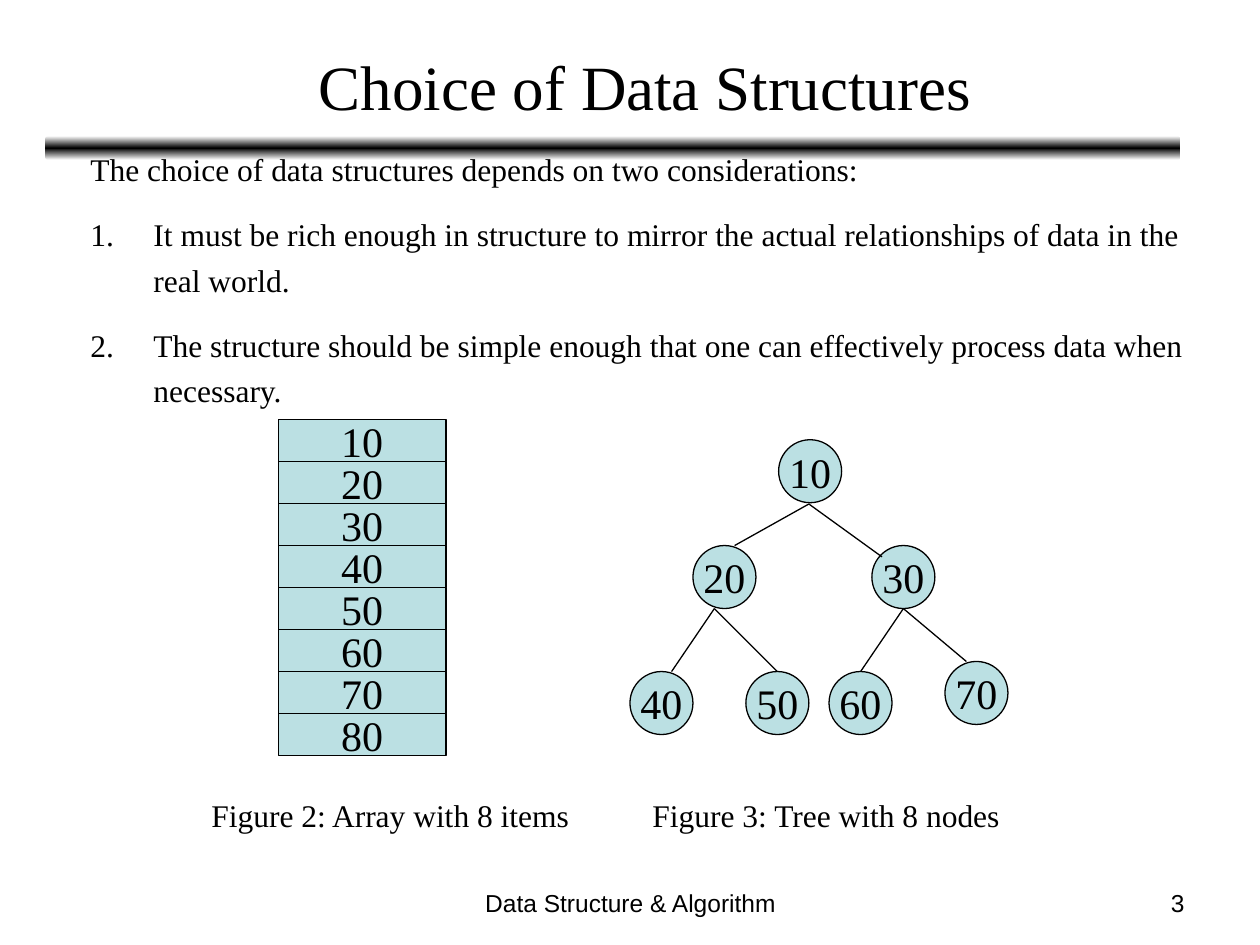
from lxml import etree
from pptx import Presentation
from pptx.dml.color import RGBColor
from pptx.enum.shapes import MSO_CONNECTOR, MSO_SHAPE
from pptx.enum.text import MSO_ANCHOR, PP_ALIGN
from pptx.oxml.ns import qn
from pptx.util import Inches, Pt

LEFT, CENTER, RIGHT = PP_ALIGN.LEFT, PP_ALIGN.CENTER, PP_ALIGN.RIGHT
MIDDLE = MSO_ANCHOR.MIDDLE
RECTANGLE, OVAL = MSO_SHAPE.RECTANGLE, MSO_SHAPE.OVAL
ROUNDED = MSO_SHAPE.ROUNDED_RECTANGLE
STRAIGHT = MSO_CONNECTOR.STRAIGHT

SERIF, SANS = "Times New Roman", "Arial"
BLACK, WHITE, PALE_TEAL = "000000", "FFFFFF", "BBE0E3"
LINE_WIDTH = Pt(0.75)

ARRAY_LEFT, ARRAY_TOP, CELL_WIDTH, CELL_HEIGHT = 2.21, 3.33, 1.33, 1 / 3
NODE_SIZE = 0.5
NODES = {10: (6.18, 3.49), 20: (5.5, 4.33), 30: (6.92, 4.33),
         40: (5, 5.33), 50: (5.92, 5.33), 60: (6.58, 5.33), 70: (7.5, 5.25)}
# Each branching point with the ends of its two edges
BRANCHES = {(6.42, 4): [(5.83, 4.33), (7, 4.42)],
            (5.67, 4.83): [(5.33, 5.33), (6.17, 5.33)],
            (7.17, 4.83): [(6.83, 5.33), (7.67, 5.25)]}


def color(hex_value):
    return RGBColor.from_string(hex_value)


def write(paragraph, text, size=18, font=SERIF, align=LEFT, before=0,
          spacing=None, hanging=0, numbered=False):
    """Fill one paragraph with formatted text."""
    paragraph.alignment = align
    paragraph.space_before = Pt(before)
    if spacing:
        paragraph.line_spacing = spacing
    properties = paragraph._p.get_or_add_pPr()
    if hanging:
        properties.set("marL", str(Inches(hanging)))
        properties.set("indent", str(-Inches(hanging)))
    if numbered:
        etree.SubElement(properties, qn("a:buAutoNum"), type="arabicPeriod")
    run = paragraph.add_run()
    run.text = text
    run.font.size = Pt(size)
    run.font.name = font
    run.font.color.rgb = color(BLACK)


def add_text_frame(slide, left, top, width, height):
    box = slide.shapes.add_textbox(Inches(left), Inches(top),
                                   Inches(width), Inches(height))
    box.text_frame.word_wrap = True
    return box.text_frame


def add_label(slide, text, left, top, width, height, **text_format):
    frame = add_text_frame(slide, left, top, width, height)
    write(frame.paragraphs[0], text, **text_format)


def add_value(shapes, kind, value, left, top, width, height):
    """Draw an array cell or a tree node holding its value."""
    holder = shapes.add_shape(kind, Inches(left), Inches(top),
                              Inches(width), Inches(height))
    holder.shadow.inherit = False
    holder.fill.solid()
    holder.fill.fore_color.rgb = color(PALE_TEAL)
    holder.line.color.rgb = color(BLACK)
    holder.line.width = LINE_WIDTH
    frame = holder.text_frame
    frame.word_wrap = False
    frame.vertical_anchor = MIDDLE
    write(frame.paragraphs[0], str(value), size=24, align=CENTER)


def add_edge(slide, start, end):
    edge = slide.shapes.add_connector(STRAIGHT, *map(Inches, start + end))
    edge.line.color.rgb = color(BLACK)
    edge.line.width = LINE_WIDTH
    etree.SubElement(edge._element.spPr, qn("a:effectLst"))


def add_title_bar(slide):
    bar = slide.shapes.add_shape(ROUNDED, Inches(0.36), Inches(1.08),
                                 Inches(9.01), Inches(0.19))
    bar.shadow.inherit = False
    bar.line.fill.background()
    bar.fill.gradient()
    bar.fill.gradient_angle = 90
    stop_list = bar._element.spPr.find(qn("a:gradFill")).find(qn("a:gsLst"))
    for stop in list(stop_list):
        stop_list.remove(stop)
    for percent, shade in ((0, WHITE), (50, BLACK), (100, WHITE)):
        stop = etree.SubElement(stop_list, qn("a:gs"), pos=str(percent * 1000))
        etree.SubElement(stop, qn("a:srgbClr"), val=shade)


def add_body(slide):
    frame = add_text_frame(slide, 0.62, 0.21, 9, 3.61)
    layout = {"spacing": 1.2, "hanging": 0.5}
    write(frame.paragraphs[0], "Choice of Data Structures", size=36,
          align=CENTER, before=22.5, **layout)
    write(frame.add_paragraph(),
          "The choice of data structures depends on two considerations:",
          before=11.2, **layout)
    for consideration in (
            "It must be rich enough in structure to mirror the actual "
            "relationships of data in the real world.",
            "The structure should be simple enough that one can effectively "
            "process data when necessary."):
        write(frame.add_paragraph(), consideration, before=11.2,
              numbered=True, **layout)


def add_array(slide):
    cells = slide.shapes.add_group_shape().shapes
    for row, value in enumerate(range(10, 90, 10)):
        add_value(cells, RECTANGLE, value, ARRAY_LEFT,
                  ARRAY_TOP + row * CELL_HEIGHT, CELL_WIDTH, CELL_HEIGHT)


def add_tree(slide):
    for value, (left, top) in NODES.items():
        add_value(slide.shapes, OVAL, value, left, top, NODE_SIZE, NODE_SIZE)
    for start, ends in BRANCHES.items():
        for end in ends:
            add_edge(slide, start, end)


def main():
    deck = Presentation()
    deck.slide_width, deck.slide_height = Inches(10), Inches(7.5)
    slide = deck.slides.add_slide(deck.slide_layouts[6])

    # Bar and footer
    add_title_bar(slide)
    add_label(slide, "Data Structure & Algorithm", 3.42, 7, 3.17, 0.35,
              size=14, font=SANS, align=CENTER)
    add_label(slide, "3", 7.17, 7, 2.33, 0.35,
              size=14, font=SANS, align=RIGHT)

    # Title and considerations
    add_body(slide)

    # Figures and captions
    add_array(slide)
    add_tree(slide)
    add_label(slide, "Figure 2: Array with 8 items", 1.58, 6.27, 3.17, 0.4,
              before=11.2)
    add_label(slide, "Figure 3: Tree with 8 nodes", 5.08, 6.27, 3.58, 0.4,
              before=11.2)

    deck.save("out.pptx")


if __name__ == "__main__":
    main()
